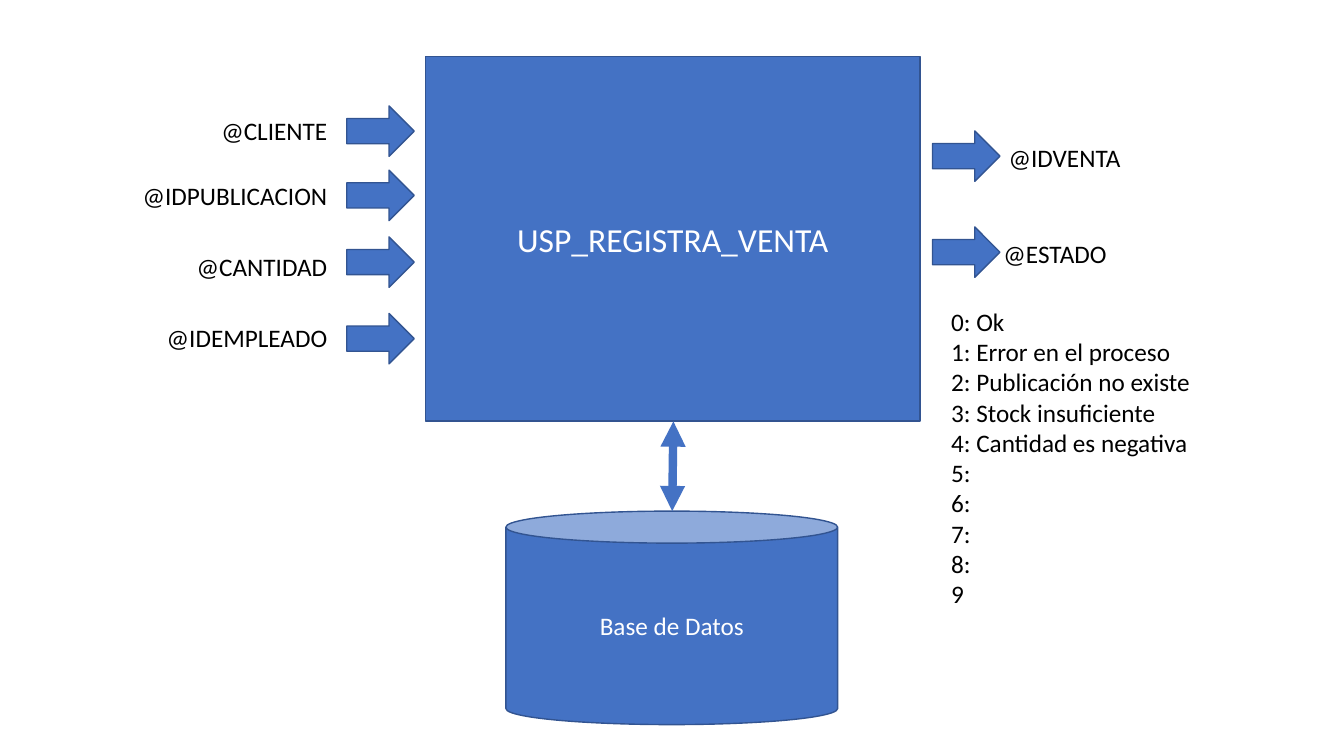
from lxml.etree import SubElement
from pptx import Presentation
from pptx.dml.color import RGBColor
from pptx.enum.shapes import MSO_CONNECTOR, MSO_SHAPE
from pptx.enum.text import MSO_ANCHOR, PP_ALIGN
from pptx.oxml.ns import qn
from pptx.util import Cm, Pt

BLUE = RGBColor(0x44, 0x72, 0xC4)
DARK_BLUE = RGBColor(0x32, 0x54, 0x91)
WHITE = RGBColor(0xFF, 0xFF, 0xFF)
BLACK = RGBColor(0x00, 0x00, 0x00)

INPUTS = [
    ("@CLIENTE", 2.79, 2.67),
    ("@IDPUBLICACION", 4.42, 4.29),
    ("@CANTIDAD", 6.22, 5.97),
    ("@IDEMPLEADO", 8.0, 7.9),
]
OUTPUTS = [
    ("@IDVENTA", 25.17, 3.45, 3.3),
    ("@ESTADO", 25.04, 5.87, 5.72),
]
STATES = [
    "0: Ok",
    "1: Error en el proceso",
    "2: Publicación no existe",
    "3: Stock insuficiente",
    "4: Cantidad es negativa",
    "5:",
    "6:",
    "7:",
    "8:",
    "9",
]


class Diagram:
    """Draws procedure diagram elements on one slide in a shared style."""

    font_name = "Calibri"

    def __init__(self, slide):
        self.slide = slide

    def fill_text(self, frame, lines, size, color, alignment):
        frame.word_wrap = True
        frame.text = "\n".join(lines)
        for paragraph in frame.paragraphs:
            paragraph.alignment = alignment
            paragraph.font.name = self.font_name
            paragraph.font.size = Pt(size)
            paragraph.font.color.rgb = color

    def block(self, kind, left, top, width, height, text="", size=18):
        shape = self.slide.shapes.add_shape(
            kind, Cm(left), Cm(top), Cm(width), Cm(height))
        shape.shadow.inherit = False
        shape.fill.solid()
        shape.fill.fore_color.rgb = BLUE
        shape.line.color.rgb = DARK_BLUE
        shape.line.width = Pt(1)
        if text:
            shape.text_frame.vertical_anchor = MSO_ANCHOR.MIDDLE
            self.fill_text(shape.text_frame, [text], size, WHITE,
                           PP_ALIGN.CENTER)
        return shape

    def arrow(self, left, top):
        self.block(MSO_SHAPE.RIGHT_ARROW, left, top, 1.7, 1.27)

    def label(self, lines, left, top, width=5.38, height=1.02,
              alignment=PP_ALIGN.LEFT):
        box = self.slide.shapes.add_textbox(
            Cm(left), Cm(top), Cm(width), Cm(height))
        self.fill_text(box.text_frame, lines, 18, BLACK, alignment)

    def double_arrow(self, start_x, start_y, end_x, end_y):
        connector = self.slide.shapes.add_connector(
            MSO_CONNECTOR.STRAIGHT,
            Cm(start_x), Cm(start_y), Cm(end_x), Cm(end_y))
        connector.line.color.rgb = BLUE
        connector.line.width = Pt(6)
        properties = connector._element.spPr
        outline = properties.find(qn("a:ln"))
        for end in ("a:headEnd", "a:tailEnd"):
            SubElement(outline, qn(end), type="triangle")
        SubElement(properties, qn("a:effectLst"))


presentation = Presentation()
presentation.slide_width = Cm(33.87)
presentation.slide_height = Cm(19.05)
diagram = Diagram(presentation.slides.add_slide(presentation.slide_layouts[6]))

diagram.block(MSO_SHAPE.RECTANGLE, 10.72, 1.42, 12.47, 9.19,
              "USP_REGISTRA_VENTA", 24)
for name, label_top, arrow_top in INPUTS:
    diagram.label([name], 3.12, label_top, alignment=PP_ALIGN.RIGHT)
    diagram.arrow(8.74, arrow_top)
for name, label_left, label_top, arrow_top in OUTPUTS:
    diagram.arrow(23.5, arrow_top)
    diagram.label([name], label_left, label_top)
diagram.label(STATES, 23.72, 7.59, 8.36, 7.95)
database = diagram.block(MSO_SHAPE.CAN, 12.75, 12.88, 8.36, 5.38,
                         "Base de Datos")
database.adjustments[0] = 0.15
diagram.double_arrow(16.97, 10.62, 16.94, 12.88)

presentation.save("out.pptx")
